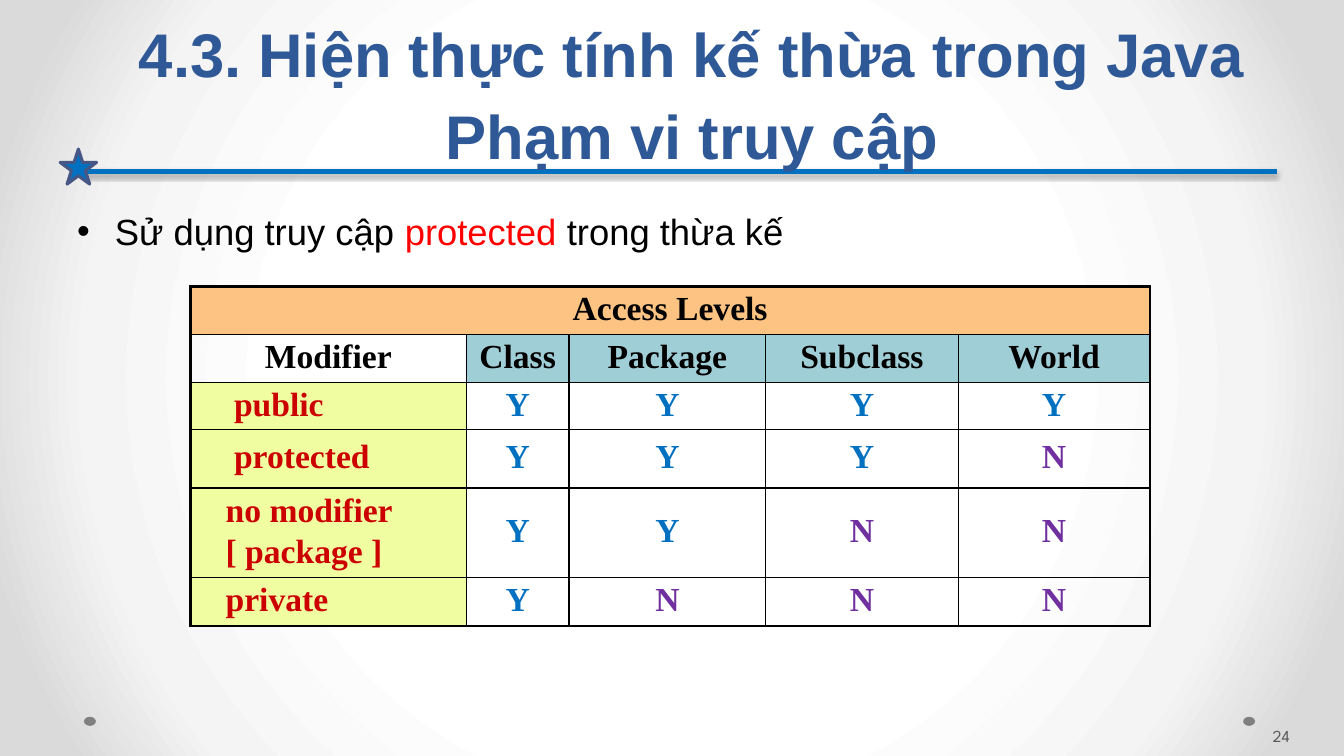
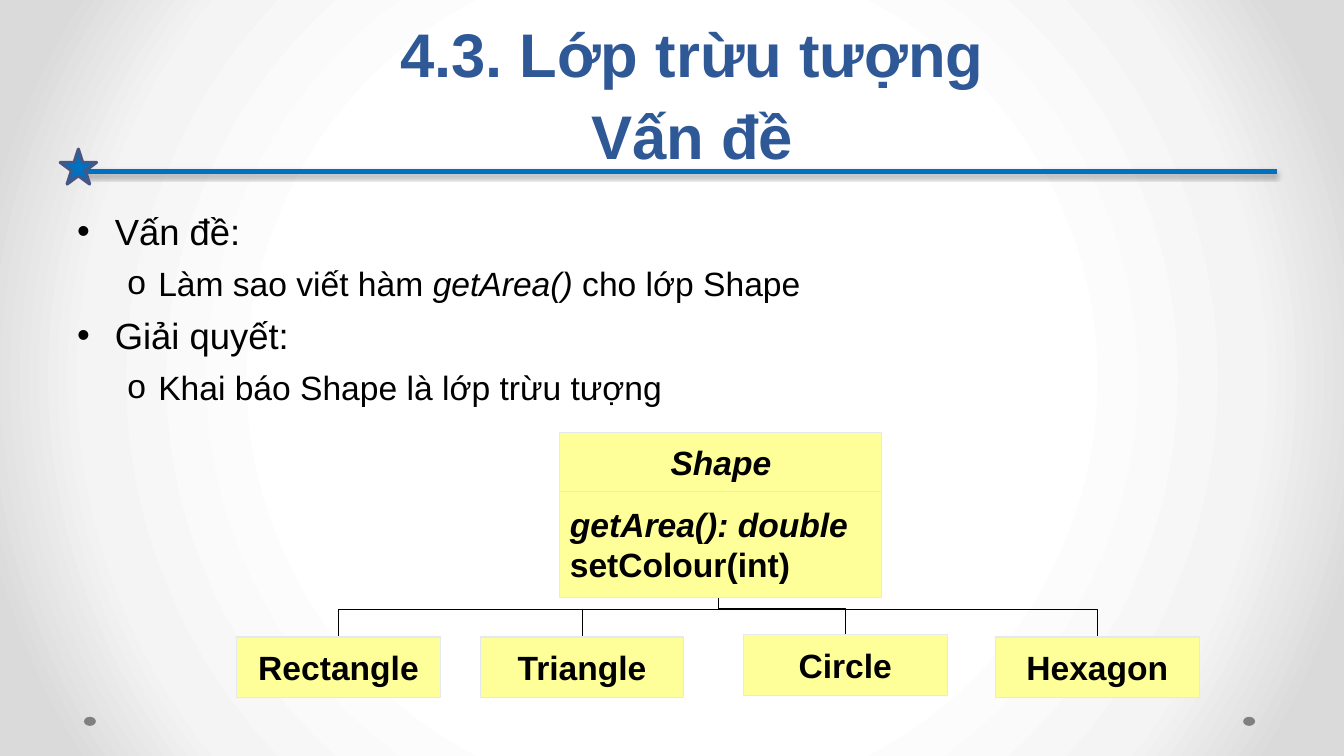
from pptx import Presentation
from pptx.dml.color import RGBColor
from pptx.enum.shapes import MSO_CONNECTOR as Connector, MSO_SHAPE as Preset
from pptx.enum.text import MSO_ANCHOR as Anchor, MSO_AUTO_SIZE as AutoSize, PP_ALIGN as Align
from pptx.oxml import parse_xml
from pptx.oxml.ns import nsdecls, qn
from pptx.util import Pt

BLACK = RGBColor(0, 0, 0)
RED = RGBColor(0xFF, 0, 0)
DARK_RED = RGBColor(0xCC, 0, 0)
BLUE = RGBColor(0, 0x70, 0xC0)
PURPLE = RGBColor(0x70, 0x30, 0xA0)
TITLE_BLUE = RGBColor(0x2F, 0x58, 0x97)
STAR_EDGE = RGBColor(0x47, 0x57, 0x85)
GREY = RGBColor(0x80, 0x80, 0x80)
NUMBER_GREY = RGBColor(0x59, 0x59, 0x59)
ORANGE = RGBColor(0xFD, 0xC3, 0x82)
TEAL = RGBColor(0xA0, 0xCE, 0xD6)
LIME = RGBColor(0xF0, 0xFD, 0xA1)
YELLOW = RGBColor(0xFF, 0xFF, 0x99)
BOX_EDGE = RGBColor(0xE4, 0xE9, 0xEF)

TITLE = dict(name="Arial", size=Pt(44), bold=True, color=TITLE_BLUE)
BODY = dict(name="Arial", color=BLACK)
BOX = dict(name="Arial", size=Pt(24), bold=True, color=BLACK)
CELL = dict(name="Times New Roman", size=Pt(24), bold=True)
NUMBER = dict(name="League Spartan", size=Pt(12), color=NUMBER_GREY)

# Per level: left margin, hanging indent, bullet, text size
LEVELS = [(27, 27, "•", 26), (58, 22, "o", 24)]

BACKGROUND = [(50, "FFFFFF"), (76, "F4F4F4"), (92, "DADADA")]
LINE_SHADOW = (
    '<a:outerShdw blurRad="39370" dist="22860" dir="5400000" rotWithShape="0">'
    '<a:srgbClr val="000000"><a:alpha val="35000"/></a:srgbClr></a:outerShdw>'
)

COLUMN_WIDTHS = [197, 73.5, 140.5, 137.5, 137]
ROW_HEIGHTS = [34.5, 34.5, 31.5, 42, 54, 34.5]
HEADINGS = ["Modifier", "Class", "Package", "Subclass", "World"]
ACCESS = [
    ("public", 24, "YYYY"),
    ("protected", 24, "YYYN"),
    ("no modifier\n[ package ]", 18, "YYNN"),
    ("private", 18, "YNNN"),
]

SUBCLASSES = [("Rectangle", 169, 455), ("Triangle", 343, 455),
              ("Circle", 531, 453.5), ("Hexagon", 711, 455)]
SUBCLASS_WIDTH, SUBCLASS_HEIGHT = 145.5, 43.5
TRUNK_X, TRUNK_Y = 513.5, 415.5


def add_run(paragraph, text, formats):
    run = paragraph.add_run()
    run.text = text
    for name, value in formats.items():
        if name == "color":
            run.font.color.rgb = value
        else:
            setattr(run.font, name, value)


def add_shape(shapes, preset, place, fill, edge=None, weight=0.75):
    shape = shapes.add_shape(preset, *map(Pt, place))
    shape.shadow.inherit = False
    shape.fill.solid()
    shape.fill.fore_color.rgb = fill
    if edge is None:
        shape.line.fill.background()
    else:
        shape.line.color.rgb = edge
        shape.line.width = Pt(weight)
    return shape


def add_line(shapes, kind, points, color, weight, effect=""):
    line = shapes.add_connector(kind, *map(Pt, points))
    line.line.color.rgb = color
    line.line.width = Pt(weight)
    line.element.spPr.append(
        parse_xml(f'<a:effectLst {nsdecls("a")}>{effect}</a:effectLst>'))
    return line


def add_box(shapes, place, lines, align=Align.CENTER):
    """Draw a class box; lines are (text, italic) pairs."""
    box = add_shape(shapes, Preset.RECTANGLE, place, YELLOW, BOX_EDGE)
    frame = box.text_frame
    frame.word_wrap = True
    frame.vertical_anchor = Anchor.MIDDLE
    for index, (text, italic) in enumerate(lines):
        paragraph = frame.add_paragraph() if index else frame.paragraphs[0]
        paragraph.alignment = align
        add_run(paragraph, text, dict(BOX, italic=italic))


def decorate_layout(layout, slide):
    """Give the layout its background and band, drawn through a slide's shapes."""
    stops = "".join(f'<a:gs pos="{pos}000"><a:srgbClr val="{color}"/></a:gs>'
                    for pos, color in BACKGROUND)
    layout.element.cSld.insert(0, parse_xml(
        f'<p:bg {nsdecls("p", "a")}><p:bgPr><a:gradFill rotWithShape="1">'
        f'<a:gsLst>{stops}</a:gsLst><a:path path="circle">'
        '<a:fillToRect l="50000" t="50000" r="50000" b="50000"/></a:path>'
        '</a:gradFill><a:effectLst/></p:bgPr></p:bg>'))
    shapes = slide.shapes
    band = [add_shape(shapes, Preset.OVAL, (left, 512, 8.5, 6.5), GREY)
            for left in (888, 60)]
    band.append(add_line(shapes, Connector.STRAIGHT, (60.5, 122.5, 912, 122.5),
                         BLUE, 4, LINE_SHADOW))
    band.append(add_shape(shapes, Preset.STAR_5_POINT, (43, 106.5, 26, 25),
                          BLUE, STAR_EDGE, 2.25))
    for shape in band:
        layout.shapes.element.append(shape.element)


def set_title(slide, text):
    title = slide.shapes.title
    title.left, title.top, title.width, title.height = map(Pt, (78, 13.5, 833, 112.5))
    frame = title.text_frame
    frame.auto_size = AutoSize.NONE
    frame.vertical_anchor = Anchor.BOTTOM
    paragraph = frame.paragraphs[0]
    paragraph.alignment = Align.CENTER
    paragraph.line_spacing = Pt(58)
    for index, line in enumerate(text.split("\n")):
        if index:
            paragraph.add_line_break()
        add_run(paragraph, line, TITLE)


def add_bullets(slide, items):
    """Write bullets; each item is a level and its (text, formats) runs."""
    frame = slide.shapes.add_textbox(*map(Pt, (48, 146, 864, 364.5))).text_frame
    frame.word_wrap = True
    for index, (level, runs) in enumerate(items):
        margin, hanging, bullet, size = LEVELS[level]
        paragraph = frame.add_paragraph() if index else frame.paragraphs[0]
        paragraph.level = level
        paragraph.space_before = Pt(7)
        properties = paragraph._p.get_or_add_pPr()
        properties.set("marL", str(Pt(margin)))
        properties.set("indent", str(-Pt(hanging)))
        properties.append(parse_xml(f'<a:buFont {nsdecls("a")} typeface="Arial"/>'))
        properties.append(parse_xml(f'<a:buChar {nsdecls("a")} char="{bullet}"/>'))
        for text, formats in runs:
            add_run(paragraph, text, {**BODY, "size": Pt(size), **formats})


def set_borders(cell, edges):
    """Draw black borders; edges maps a side (L, R, T, B) to its weight."""
    properties = cell._tc.get_or_add_tcPr()
    for index, (side, weight) in enumerate(edges.items()):
        properties.insert(index, parse_xml(
            f'<a:ln{side} {nsdecls("a")} w="{Pt(weight)}"><a:solidFill>'
            f'<a:srgbClr val="{BLACK}"/></a:solidFill></a:ln{side}>'))


def fill_cell(cell, text, color, fill=None, indent=None):
    """Write a cell, centred unless a left indent is given."""
    cell.vertical_anchor = Anchor.MIDDLE
    if fill is None:
        cell.fill.background()
    else:
        cell.fill.solid()
        cell.fill.fore_color.rgb = fill
    if indent is not None:
        cell.margin_left = Pt(7.2 + indent)
    for index, line in enumerate(text.split("\n")):
        frame = cell.text_frame
        paragraph = frame.add_paragraph() if index else frame.paragraphs[0]
        paragraph.alignment = Align.CENTER if indent is None else Align.LEFT
        paragraph.line_spacing = 0.9
        if index:
            paragraph.space_before = Pt(5)
        add_run(paragraph, line, dict(CELL, color=color))


def add_access_table(slide):
    rows, columns = len(ROW_HEIGHTS), len(COLUMN_WIDTHS)
    place = (136, 204.5, sum(COLUMN_WIDTHS), sum(ROW_HEIGHTS))
    table = slide.shapes.add_table(rows, columns, *map(Pt, place)).table
    table.first_row = table.horz_banding = False
    for column, width in zip(table.columns, COLUMN_WIDTHS):
        column.width = Pt(width)
    for row, height in zip(table.rows, ROW_HEIGHTS):
        row.height = Pt(height)

    table.cell(0, 0).merge(table.cell(0, columns - 1))
    fill_cell(table.cell(0, 0), "Access Levels", BLACK, ORANGE)
    for column, heading in enumerate(HEADINGS):
        fill_cell(table.cell(1, column), heading, BLACK, TEAL if column else None)
    for row, (modifier, indent, marks) in enumerate(ACCESS, 2):
        fill_cell(table.cell(row, 0), modifier, DARK_RED, LIME, indent)
        for column, mark in enumerate(marks, 1):
            fill_cell(table.cell(row, column), mark, BLUE if mark == "Y" else PURPLE)

    for row in range(rows):
        for column in range(columns):
            outer = dict(L=column == 0, R=column == columns - 1,
                         T=row == 0, B=row == rows - 1)
            set_borders(table.cell(row, column),
                        {side: 2.25 if edge else 1 for side, edge in outer.items()})


def add_number(slide, text):
    frame = slide.shapes.add_textbox(*map(Pt, (907, 511, 52.5, 29))).text_frame
    frame.word_wrap = True
    frame.margin_left = Pt(2)
    frame.vertical_anchor = Anchor.MIDDLE
    add_run(frame.paragraphs[0], text, NUMBER)


def add_branch(shapes, x, y):
    """Join the trunk to a point below it: down, across, then down."""
    center_x, center_y = (TRUNK_X + x) / 2, (TRUNK_Y + y) / 2
    half_height, half_width = (y - TRUNK_Y) / 2, abs(x - TRUNK_X) / 2
    # An elbow starts sideways, so it is laid out flat and turned upright.
    side = 1 if x < TRUNK_X else -1
    points = (center_x - side * half_height, center_y - half_width,
              center_x + side * half_height, center_y + half_width)
    branch = add_line(shapes, Connector.ELBOW, points, BLACK, 0.75)
    branch.rotation = 90 if side > 0 else 270


def add_class_tree(slide):
    shapes = slide.shapes
    for name, left, top in SUBCLASSES:
        add_branch(shapes, left + SUBCLASS_WIDTH / 2, top)
        add_box(shapes, (left, top, SUBCLASS_WIDTH, SUBCLASS_HEIGHT), [(name, False)])
    parent = shapes.add_group_shape().shapes
    add_box(parent, (400, 351, 230, 75.5),
            [("getArea(): double", True), ("setColour(int)", False)], Align.LEFT)
    add_box(parent, (400, 309, 230, 42), [("Shape", True)])


def main():
    presentation = Presentation()
    presentation.slide_width, presentation.slide_height = Pt(960), Pt(540)
    layout = presentation.slide_layouts[5]

    access = presentation.slides.add_slide(layout)
    decorate_layout(layout, access)
    set_title(access, "4.3. Hiện thực tính kế thừa trong Java\nPhạm vi truy cập")
    add_bullets(access, [(0, [("Sử dụng truy cập ", {}), ("protected", {"color": RED}),
                              (" trong thừa kế", {})])])
    add_number(access, "24")
    add_access_table(access)

    abstract = presentation.slides.add_slide(layout)
    set_title(abstract, "4.3. Lớp trừu tượng\nVấn đề")
    add_bullets(abstract, [
        (0, [("Vấn đề:", {})]),
        (1, [("Làm sao viết hàm ", {}), ("getArea() ", {"italic": True}),
             ("cho lớp Shape", {})]),
        (0, [("Giải quyết:", {})]),
        (1, [("Khai báo Shape là lớp trừu tượng", {})]),
    ])
    add_class_tree(abstract)
    presentation.save("out.pptx")


if __name__ == "__main__":
    main()
